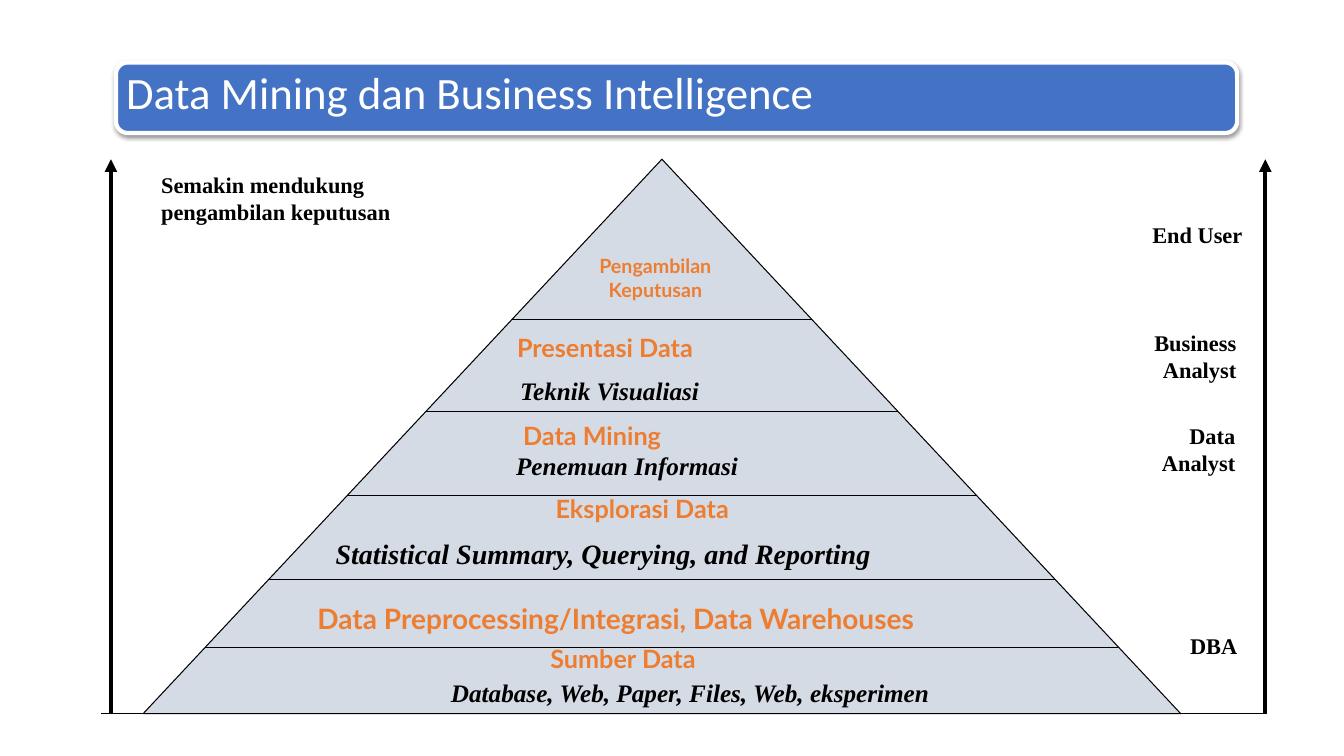
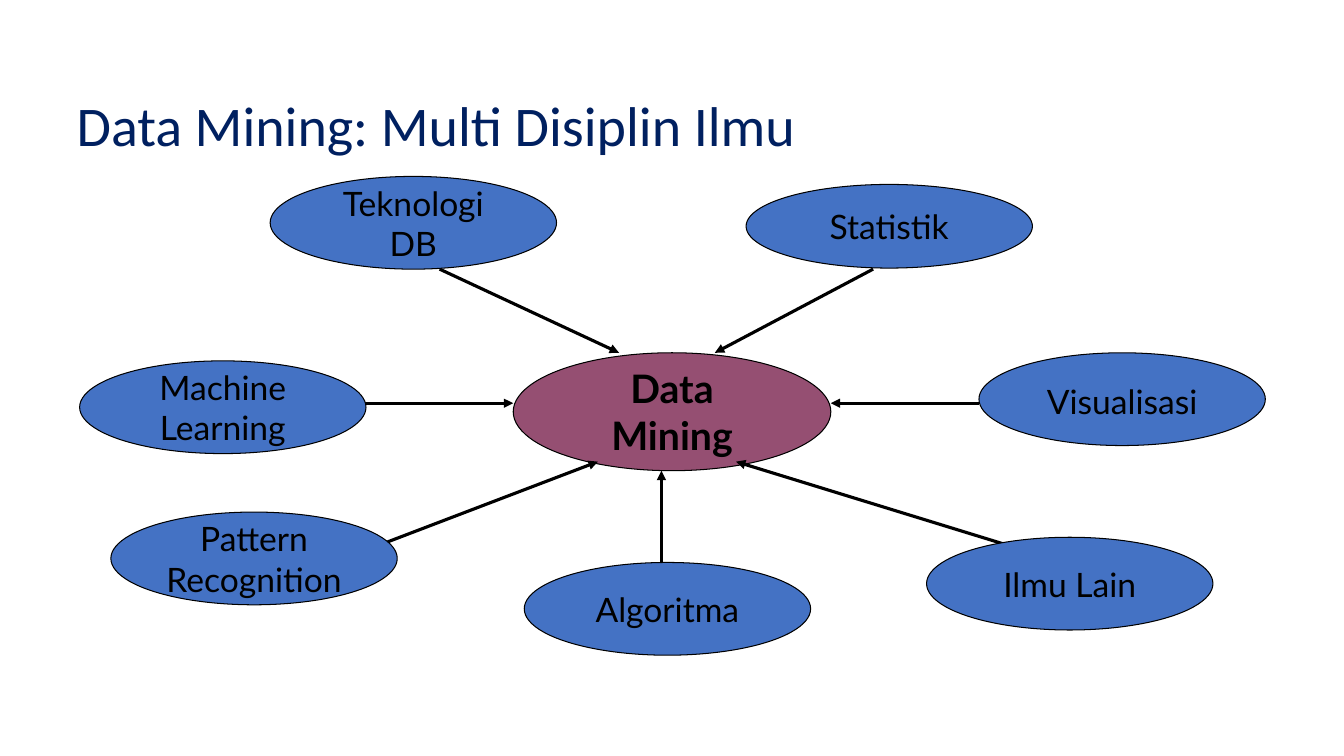
from lxml import etree
from pptx import Presentation
from pptx import util as u
from pptx.dml.color import RGBColor
from pptx.enum import shapes, text
from pptx.oxml.ns import qn

Inches, Pt = u.Inches, u.Pt
LEFT, CENTER, RIGHT = text.PP_ALIGN.LEFT, text.PP_ALIGN.CENTER, text.PP_ALIGN.RIGHT

# Theme: colours, text styles and line widths
BLACK, WHITE, BLUE, ORANGE, NAVY, PLUM, STEEL = (
    RGBColor.from_string(c) for c in
    ("000000", "FFFFFF", "4472C4", "ED7D31", "002060", "954F72", "D5DBE5"))
THEME = {
    "band title": ({"name": "Calibri", "size": Pt(32)}, WHITE),
    "title": ({"name": "Calibri", "size": Pt(40)}, NAVY),
    "role": ({"name": "Times New Roman", "size": Pt(16), "bold": True}, BLACK),
    "peak": ({"name": "Lato", "size": Pt(14), "bold": True}, ORANGE),
    "level": ({"name": "Lato", "size": Pt(18), "bold": True}, ORANGE),
    "wide level": ({"name": "Lato", "size": Pt(20), "bold": True}, ORANGE),
    "detail": ({"name": "Times New Roman", "size": Pt(18), "bold": True, "italic": True}, BLACK),
    "wide detail": ({"name": "Times New Roman", "size": Pt(20), "bold": True, "italic": True}, BLACK),
    "hub": ({"name": "Lato", "size": Pt(28), "bold": True}, BLACK),
    "field": ({"name": "Lato", "size": Pt(24)}, BLACK),
}
THIN, MEDIUM, THICK = 0.75, 2.25, 3


def write(tf, lines, style, align=LEFT, spacing=None):
    """Fill a text frame, one paragraph per line, in a theme style."""
    fmt, color = THEME[style]
    tf.word_wrap = True
    for i, line in enumerate(lines.split("\n")):
        p = tf.paragraphs[0] if i == 0 else tf.add_paragraph()
        p.alignment = align
        if spacing:
            p.line_spacing = spacing
        r = p.add_run()
        r.text = line
        for key, value in fmt.items():
            setattr(r.font, key, value)
        r.font.color.rgb = color


def connect(s, x1, y1, x2, y2, width, arrow=False):
    """Draw a straight black line, with an arrowhead at its end if asked."""
    cx = s.shapes.add_connector(shapes.MSO_CONNECTOR.STRAIGHT,
                                Inches(x1), Inches(y1), Inches(x2), Inches(y2))
    cx.line.color.rgb = BLACK
    cx.line.width = Pt(width)
    if arrow:
        etree.SubElement(cx.line._get_or_add_ln(), qn("a:tailEnd"), type="triangle")
    etree.SubElement(cx.element.spPr, qn("a:effectLst"))


prs = Presentation()
prs.slide_width, prs.slide_height = Inches(13.33), Inches(7.5)

# Both slides with their titles
slides = []
for title, style, box in (
    ("Data Mining dan Business Intelligence", "band title", (1.15, 0.55, 11.12, 0.78)),
    ("Data Mining: Multi Disiplin Ilmu", "title", (0.66, 0.88, 10.94, 0.78)),
):
    s = prs.slides.add_slide(prs.slide_layouts[5])
    sp = s.shapes.title
    sp.left, sp.top, sp.width, sp.height = map(Inches, box)
    sp.text_frame.auto_size = text.MSO_AUTO_SIZE.NONE
    sp.text_frame.vertical_anchor = text.MSO_ANCHOR.MIDDLE
    write(sp.text_frame, title, style, spacing=0.9)
    slides.append(s)

# Slide 1: title band, placed behind the title
s = slides[0]
band = s.shapes.add_shape(shapes.MSO_SHAPE.ROUNDED_RECTANGLE,
                          Inches(1.15), Inches(0.62), Inches(11.12), Inches(0.7))
band.fill.solid()
band.fill.fore_color.rgb = BLUE
band.line.color.rgb = WHITE
band.line.width = Pt(THICK)
effects = etree.SubElement(band.element.spPr, qn("a:effectLst"))
shadow = etree.SubElement(effects, qn("a:outerShdw"), blurRad=str(Pt(3.1)),
                          dist=str(Pt(1.6)), dir="5400000", rotWithShape="0")
shade = etree.SubElement(shadow, qn("a:srgbClr"), val=str(BLACK))
etree.SubElement(shade, qn("a:alpha"), val="38000")
s.shapes.title.element.addprevious(band.element)

# Pyramid, with dividers running from edge to edge
left, top, width, height = 1.42, 1.58, 10.29, 5.5
base, middle = top + height, left + width / 2
pyramid = s.shapes.add_shape(shapes.MSO_SHAPE.FLOWCHART_EXTRACT,
                             Inches(left), Inches(top), Inches(width), Inches(height))
pyramid.shadow.inherit = False
pyramid.fill.solid()
pyramid.fill.fore_color.rgb = STEEL
pyramid.line.color.rgb = BLACK
pyramid.line.width = Pt(THIN)
for y in (3.17, 4.08, 4.92, 5.75, 6.42):
    half = (y - top) / height * width / 2
    connect(s, middle - half, y, middle + half, y, THIN)

# Side arrows and ground line
for x in (1.1, 12.55):
    connect(s, x, base, x, top, THICK, arrow=True)
connect(s, 1, base, 12.55, base, THIN)

# Labels: text, style, alignment, left, top, width, height
labels = [
    ("Semakin mendukung\npengambilan keputusan", "role", LEFT, 1.5, 1.65, 2.7, 0.64),
    ("Pengambilan Keputusan", "peak", CENTER, 5.54, 2.47, 1.92, 0.57),
    ("Presentasi Data", "level", LEFT, 5.03, 3.25, 2.2, 0.4),
    ("Teknik Visualiasi", "detail", LEFT, 5.06, 3.67, 2.2, 0.4),
    ("Data Mining", "level", LEFT, 5.09, 4.12, 3.64, 0.4),
    ("Penemuan Informasi", "detail", LEFT, 5.02, 4.42, 2.6, 0.4),
    ("Eksplorasi Data", "level", CENTER, 4.4, 4.84, 3.94, 0.4),
    ("Statistical Summary, Querying, and Reporting", "wide detail", LEFT, 3.23, 5.27, 6.98, 0.44),
    ("Data Preprocessing/Integrasi, Data Warehouses", "wide level", LEFT, 3.05, 5.92, 7.03, 0.44),
    ("Sumber Data", "level", LEFT, 5.36, 6.33, 1.85, 0.4),
    ("Database, Web, Paper, Files, Web, eksperimen", "detail", CENTER, 1.94, 6.67, 9.81, 0.4),
]
role_width = 1.3
for role, right, y, h in (("End User", 12.42, 2.14, 0.37), ("Business\nAnalyst", 12.36, 3.22, 0.64),
                          ("Data\nAnalyst", 12.35, 4.14, 0.64), ("DBA", 12.37, 6.22, 0.37)):
    labels.append((role, "role", RIGHT, right - role_width, y, role_width, h))
for label, style, align, *box in labels:
    tb = s.shapes.add_textbox(*map(Inches, box))
    write(tb.text_frame, label, style, align)

# Slide 2: hub, arrows and the contributing fields
s = slides[1]
field_w, field_h = 2.84, 0.92
ovals = [
    ("Data Mining", "hub", PLUM, 5.09, 3.5, 3.15, 1.17),
    ("Teknologi DB", "field", BLUE, 2.68, 1.75, field_w, field_h),
    ("Statistik", "field", BLUE, 7.4, 1.83, field_w, 0.83),
    ("Machine\nLearning", "field", BLUE, 0.79, 3.58, field_w, field_h),
    ("Pattern\nRecognition", "field", BLUE, 1.1, 5.08, field_w, field_h),
    ("Algoritma", "field", BLUE, 5.2, 5.58, field_w, field_h),
    ("Ilmu Lain", "field", BLUE, 9.19, 5.33, field_w, field_h),
    ("Visualisasi", "field", BLUE, 9.71, 3.5, field_w, field_h),
]
arrows = [
    (3.62, 4, 5.09, 4), (4.36, 2.67, 6.14, 3.5), (8.66, 2.67, 7.09, 3.5),
    (9.71, 4, 8.24, 4), (10.03, 5.42, 7.3, 4.58), (3.73, 5.42, 5.93, 4.58),
    (6.56, 5.58, 6.56, 4.67),
]
for i, (label, style, color, *box) in enumerate(ovals):
    sp = s.shapes.add_shape(shapes.MSO_SHAPE.OVAL, *map(Inches, box))
    sp.shadow.inherit = False
    sp.fill.solid()
    sp.fill.fore_color.rgb = color
    sp.line.color.rgb = BLACK
    sp.line.width = Pt(THIN)
    sp.text_frame.vertical_anchor = text.MSO_ANCHOR.MIDDLE
    write(sp.text_frame, label, style, CENTER, 1.1 if label == "Visualisasi" else None)
    if i == 0:  # arrows lie over the hub and under the fields
        for ends in arrows:
            connect(s, *ends, MEDIUM, arrow=True)

prs.save("out.pptx")
